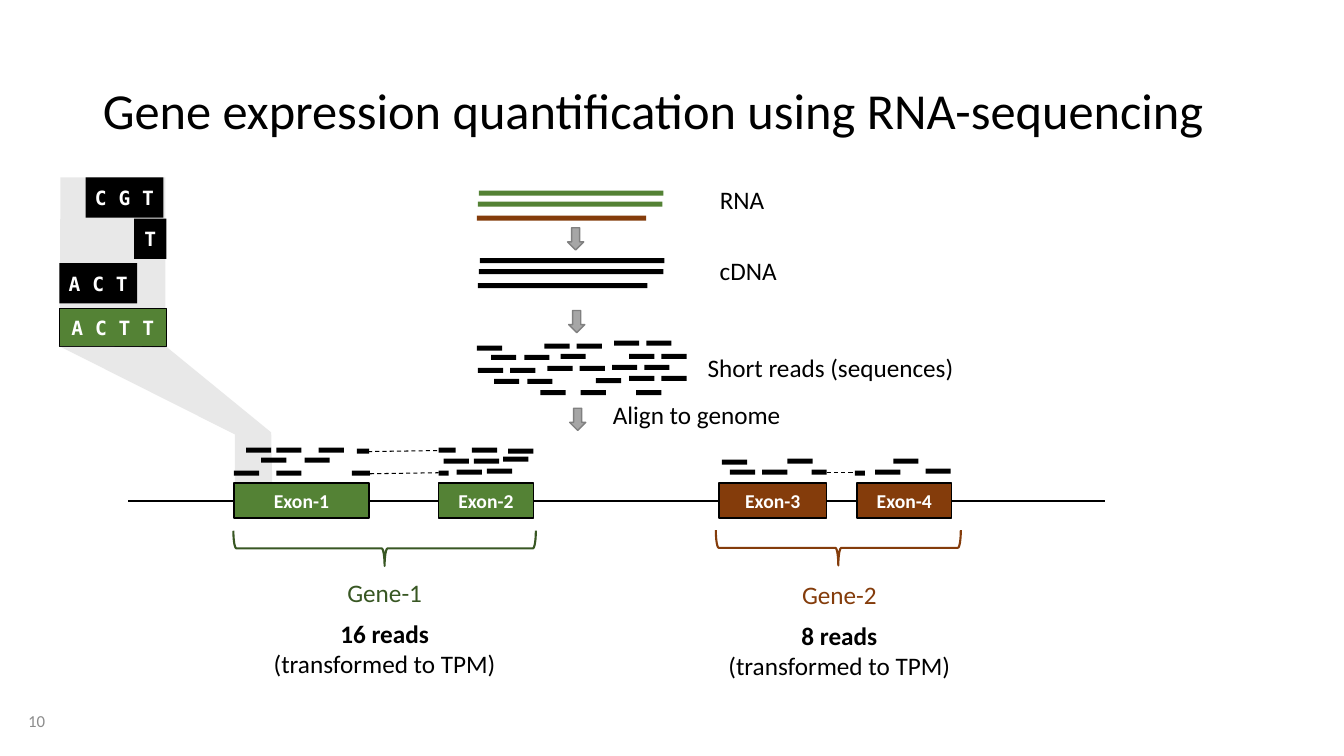
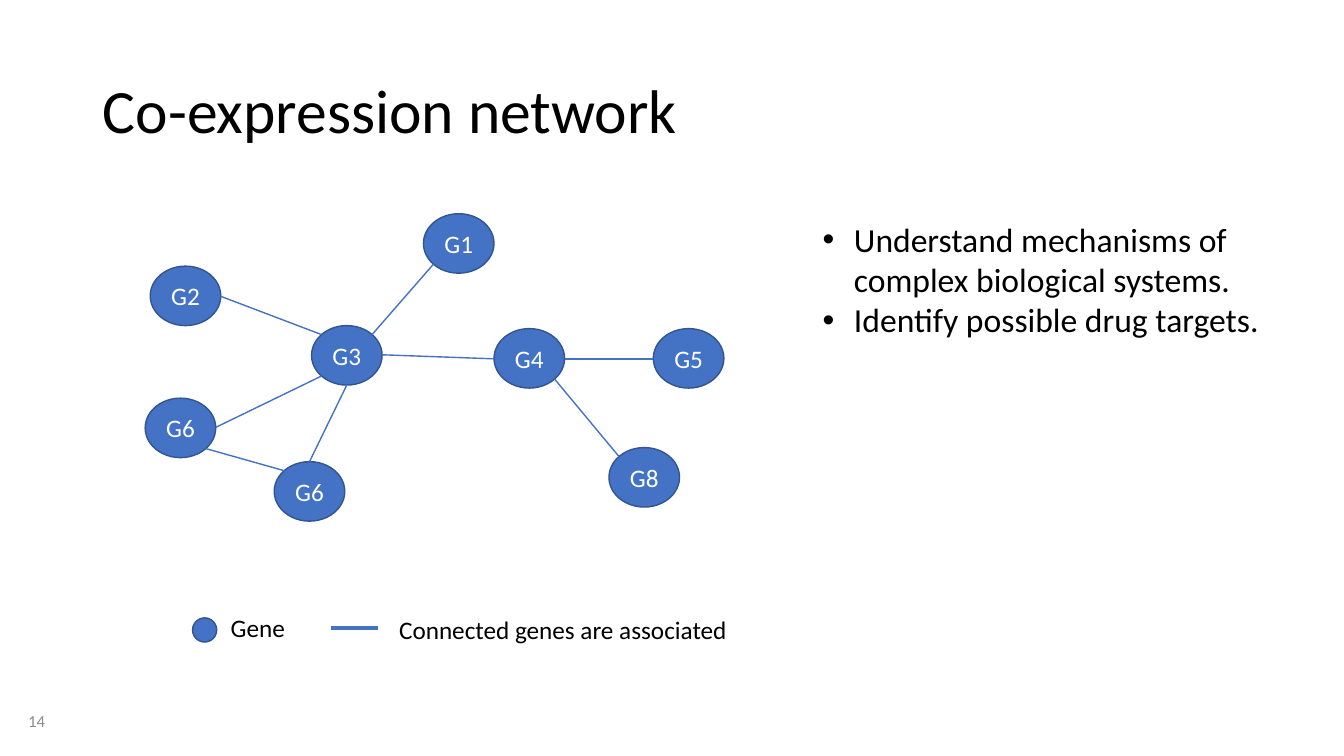
from dataclasses import dataclass
from math import cos, radians, sin

from lxml.etree import SubElement
from pptx import Presentation
from pptx.dml.color import RGBColor as RGB
from pptx.enum.dml import MSO_LINE_DASH_STYLE as Dash
from pptx.enum.shapes import MSO_CONNECTOR as Link, MSO_SHAPE as Kind
from pptx.enum.text import MSO_ANCHOR as Anchor, MSO_AUTO_SIZE as Fit, PP_ALIGN as Align
from pptx.oxml.ns import qn
from pptx.util import Emu, Pt

SCALE = 9144  # EMU in one px, 100 px to the inch


@dataclass(frozen=True)
class Theme:
    font: str = "Calibri"
    mono: str = "DejaVu Sans Mono"
    black: str = "000000"
    white: str = "FFFFFF"
    muted: str = "8C8C8C"
    gray: str = "808080"
    arrow: str = "A6A6A6"
    green: str = "548235"
    forest: str = "385723"
    brown: str = "843C0B"
    blue: str = "4472C4"
    navy: str = "325491"
    title: int = 44
    long: int = 36
    list: int = 24
    body: int = 18
    small: int = 14
    foot: int = 12


T = Theme()


def px(*vals):
    return [Emu(val * SCALE) for val in vals]


def assign(obj, **vals):
    for name, val in vals.items():
        setattr(obj, name, val)


def place(shape, box):
    assign(shape, **dict(zip(("left", "top", "width", "height"), px(*box))))


def write(frame, rows, size=T.body, color=T.black, bold=(), align=Align.LEFT, font=T.font):
    """Fill a text frame with one paragraph per row; bold lists the bold rows."""
    for i, row in enumerate(rows):
        para = frame.add_paragraph() if i else frame.paragraphs[0]
        para.alignment = align
        run = para.add_run()
        run.text = row
        assign(run.font, name=font, size=Pt(size), bold=i in bold)
        run.font.color.rgb = RGB.from_string(color)


def label(host, box, *rows, wrap=False, fit=Fit.SHAPE_TO_FIT_TEXT, anchor=Anchor.TOP, **style):
    frame = host.add_textbox(*px(*box)).text_frame
    assign(frame, word_wrap=wrap, auto_size=fit, vertical_anchor=anchor)
    write(frame, rows, **style)


def paint(shape, fill=None, line=None, width=1):
    shape.shadow.inherit = False
    if fill:
        shape.fill.solid()
        shape.fill.fore_color.rgb = RGB.from_string(fill)
    else:
        shape.fill.background()
    if line:
        shape.line.color.rgb = RGB.from_string(line)
        shape.line.width = Pt(width)
    else:
        shape.line.fill.background()


def draw(host, kind, box, text=None, fill=None, line=None, width=1, **style):
    shape = host.add_shape(kind, *px(*box))
    paint(shape, fill, line, width)
    if text:
        frame = shape.text_frame
        sides = ("left", "right", "top", "bottom")
        assign(frame, vertical_anchor=Anchor.MIDDLE, **{f"margin_{side}": 0 for side in sides})
        write(frame, [text], **{"color": T.white, "align": Align.CENTER, **style})
    return shape


def wire(host, start, end, color, width, dash=None):
    line = host.add_connector(Link.STRAIGHT, *px(*start, *end))
    line.line.color.rgb = RGB.from_string(color)
    assign(line.line, width=Pt(width), dash_style=dash)
    SubElement(line._element.spPr, qn("a:effectLst"))


def beam(host, points):
    """Draw a see-through gray outline."""
    start, *rest = [tuple(px(*point)) for point in points]
    pen = host.build_freeform(*start, scale=1.0)
    pen.add_line_segments(rest, close=True)
    shape = pen.convert_to_shape()
    paint(shape, T.gray)
    tint = shape._element.spPr.find(qn("a:solidFill"))[0]
    SubElement(tint, qn("a:alpha"), val="18000")


def bars(host, rows, fill=T.black, wide=25):
    """Draw the bars of each row, given as a top and its left edges."""
    for top, lefts in rows.items():
        for left in lefts:
            draw(host, Kind.RECTANGLE, (left, top, wide, 5), fill=fill)


def brace(host, left, top, wide, color):
    """Draw a brace that points down, as a left brace turned by 270 degrees."""
    deep = 35
    box = (left + (wide - deep) // 2, top - (wide - deep) // 2, deep, wide)
    draw(host, Kind.LEFT_BRACE, box, line=color, width=1.5).rotation = 270


def bullet(para):
    props = para._p.get_or_add_pPr()
    props.set("marL", str(31 * SCALE))
    props.set("indent", str(-31 * SCALE))
    SubElement(props, qn("a:buFont"), typeface="Arial")
    SubElement(props, qn("a:buChar"), char="•")


def add_page(deck, layout, title, number, size=T.title):
    page = deck.slides.add_slide(deck.slide_layouts[layout])
    head = page.shapes.title
    place(head, (92, 40, 1150, 145))
    assign(head.text_frame, vertical_anchor=Anchor.MIDDLE, auto_size=Fit.NONE)
    write(head.text_frame, [title], size)
    head.text_frame.paragraphs[0].line_spacing = 0.9
    label(page.shapes, (18, 695, 147, 40), number, wrap=True, fit=Fit.NONE,
          anchor=Anchor.MIDDLE, size=T.foot, color=T.muted)
    return page


def add_zoom(host):
    """Show the bases of the reads over one stretch of Exon-1."""
    mono = dict(size=T.small, bold=(0,), font=T.mono)
    beam(host, [(59, 343), (60, 176), (164, 176), (164, 345)])
    draw(host, Kind.RECTANGLE, (59, 306, 106, 38), "A C T T", T.green, T.black, **mono)
    reads = [("A C T", 59, 261, 77), ("C G T", 85, 176, 77), ("T", 133, 217, 32)]
    for text, left, top, wide in reads:
        draw(host, Kind.RECTANGLE, (left, top, wide, 40), text, T.black, **mono)
    beam(host, [(270, 478), (233, 478), (233, 431), (58, 343), (165, 344), (269, 429)])


def add_steps(host):
    """Show the way from RNA to short reads."""
    strands = [(475, 189, 183, T.green), (474, 200, 183, T.green), (473, 214, 168, T.brown)]
    for left, top, wide, color in strands:
        bars(host, {top: [left]}, color, wide)
        bars(host, {top + 67: [left + 1]}, wide=wide)
    for left, top in [(563, 226), (564, 308), (565, 405)]:
        draw(host, Kind.DOWN_ARROW, (left, top, 16, 22), fill=T.arrow, line=T.gray)
    bars(host, {
        338: [609, 641], 341: [540, 572], 343: [473],
        351: [556, 624, 656], 352: [487, 520],
        362: [607, 639], 363: [543, 575], 365: [474, 506],
        373: [624, 656], 375: [591], 376: [490, 523],
        387: [536, 576, 631],
    })
    notes = [("RNA", 704, 178, 65), ("cDNA", 704, 248, 77),
             ("Short reads (sequences)", 692, 345, 267), ("Align to genome", 598, 391, 188)]
    for text, left, top, wide in notes:
        label(host, (left, top, wide, 40), text)


def add_genome(host):
    wire(host, (127, 497), (1096, 497), T.black, 1.5)
    exons = [(232, 134, T.green), (435, 94, T.green), (713, 107, T.brown), (850, 94, T.brown)]
    for i, (left, wide, color) in enumerate(exons, 1):
        draw(host, Kind.RECTANGLE, (left, 479, wide, 35), f"Exon-{i}", color, T.black,
             size=T.small, bold=(0,))
    genes = [("Gene-1", "16 reads", 232, 300, 334, 260, 568, T.forest),
             ("Gene-2", "8 reads", 710, 243, 785, 711, 570, T.brown)]
    for name, count, left, wide, mid, low, top, color in genes:
        brace(host, left, 526, wide, color)
        label(host, (mid, top, 95, 40), name, color=color, align=Align.CENTER)
        label(host, (low, top + 40, 243, 71), count, "(transformed to TPM)",
              bold=(0,), align=Align.CENTER)


def add_aligned(host):
    """Place the reads over their exons; dashes join the split ones."""
    bars(host, {
        444: [244, 274, 316, 468], 445: [504], 453: [499], 454: [259, 302],
        455: [440, 470, 781, 886], 456: [716], 465: [483, 918],
        466: [453, 724, 756, 868], 467: [232, 274],
    })
    parts = [(349, 467, 18), (354, 445, 12), (435, 467, 10), (435, 444, 17),
             (805, 466, 15), (848, 467, 10)]
    for left, top, wide in parts:
        bars(host, {top: [left]}, wide=wide)
    for start, end in [((367, 470), (435, 469)), ((365, 448), (435, 447)),
                       ((820, 469), (848, 469))]:
        wire(host, start, end, T.black, 0.75, Dash.DASH)


def add_network(host):
    wide, high = 70, 59
    nodes = {"G1": ("G1", 420, 212), "G2": ("G2", 149, 264), "G3": ("G3", 309, 323),
             "G4": ("G4", 490, 326), "G5": ("G5", 648, 326), "left": ("G6", 144, 395),
             "low": ("G6", 272, 458), "G8": ("G8", 604, 444)}
    sides = ("E", "SE", "S", "SW", "W", "NW", "N", "NE")
    edges = [("G2", "E", "G3", "NW"), ("left", "E", "G3", "SW"), ("low", "N", "G3", "S"),
             ("low", "NW", "left", "SE"), ("G3", "NE", "G1", "SW"), ("G3", "E", "G4", "W"),
             ("G4", "E", "G5", "W"), ("G4", "SE", "G8", "NW")]

    def rim(node, side):
        _, left, top = nodes[node]
        turn = radians(45 * sides.index(side))
        return (round(left + wide / 2 * (1 + cos(turn))),
                round(top + high / 2 * (1 + sin(turn))))

    for text, left, top in nodes.values():
        draw(host, Kind.OVAL, (left, top, wide, high), text, T.blue, T.navy)
    for first, out, last, into in edges:
        wire(host, rim(first, out), rim(last, into), T.blue, 1)


def add_legend(host):
    draw(host, Kind.OVAL, (191, 613, 24, 24), fill=T.blue, line=T.navy)
    label(host, (219, 603, 114, 40), "Gene", wrap=True)
    wire(host, (328, 623), (375, 623), T.blue, 2.25)
    label(host, (386, 605, 472, 40), "Connected genes are associated", wrap=True)


def add_points(body, rows):
    place(body, (806, 212, 537, 131))
    frame = body.text_frame
    assign(frame, auto_size=Fit.NONE, vertical_anchor=Anchor.TOP)
    write(frame, rows, T.list)
    for para in frame.paragraphs:
        para.space_before = Pt(0)
        bullet(para)


def main():
    deck = Presentation()
    assign(deck, **dict(zip(("slide_width", "slide_height"), px(1333, 750))))

    page = add_page(deck, 5, "Gene expression quantification using RNA-sequencing", "10", T.long)
    for build in (add_zoom, add_genome, add_steps, add_aligned):
        build(page.shapes.add_group_shape().shapes)

    page = add_page(deck, 1, "Co-expression network", "14")
    for build in (add_legend, add_network):
        build(page.shapes.add_group_shape().shapes)
    add_points(page.placeholders[1], ["Understand mechanisms of complex biological systems.",
                                      "Identify possible drug targets."])
    deck.save("out.pptx")


if __name__ == "__main__":
    main()
